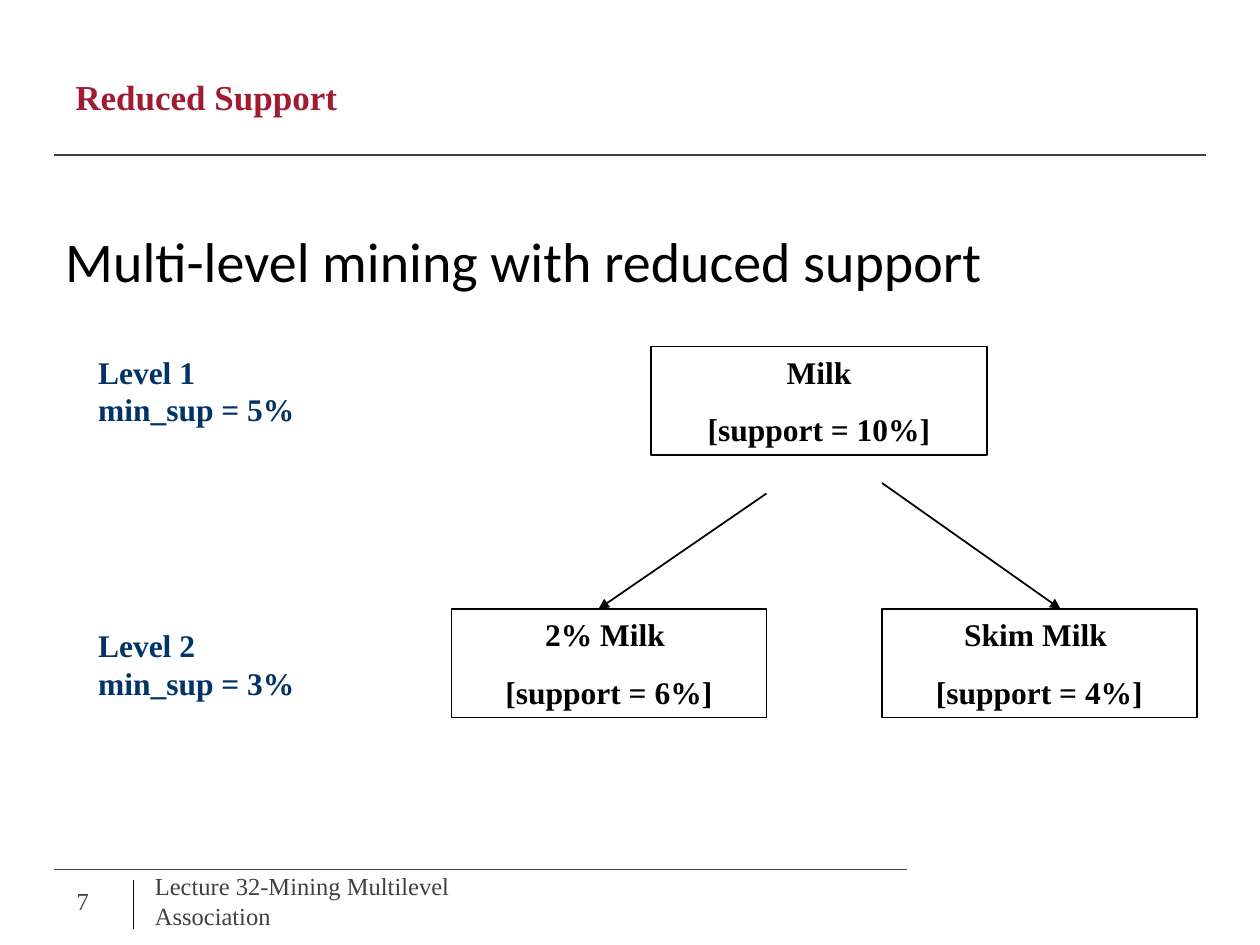
from lxml import etree
from pptx import Presentation
from pptx.dml.color import RGBColor
from pptx.enum.shapes import MSO_CONNECTOR, MSO_SHAPE
from pptx.enum.text import MSO_ANCHOR, PP_ALIGN
from pptx.oxml.ns import qn
from pptx.util import Pt

STRAIGHT, RECTANGLE = MSO_CONNECTOR.STRAIGHT, MSO_SHAPE.RECTANGLE
TOP, MIDDLE = MSO_ANCHOR.TOP, MSO_ANCHOR.MIDDLE
LEFT, CENTER = PP_ALIGN.LEFT, PP_ALIGN.CENTER
SERIF, SANS = "Times New Roman", "Calibri"
BLACK, WHITE, GREY, NEAR_BLACK = "000000", "FFFFFF", "404040", "0D0D0D"
RED, NAVY = "9F1C33", "003366"

TITLE = "Reduced Support"
HEADING = "Multi-level mining with reduced support"
PAGE = "7"
LECTURE = "Lecture 32-Mining Multilevel Association"
LEVELS = [
    (198, ["Level 1", "min_sup = 5%"]),
    (354.2, ["Level 2", "min_sup = 3%"]),
]
ITEMS = [
    (372, 198, 192, ["Milk", "[support = 10%]"]),
    (258, 348, 180, ["2% Milk ", "[support = 6%]"]),
    (504, 348, 180, ["Skim Milk ", "[support = 4%]"]),
]
RULES = [
    (31, 88.5, 689, 88.5, GREY),
    (31, 496.8, 518.4, 496.8, GREY),
    (76.5, 502.6, 76.5, 530.6, NEAR_BLACK),
]
ARROWS = [(438, 282, 342, 348), (504, 276, 606, 348)]
ITEM_HEIGHT = 62

prs = Presentation()
prs.slide_width, prs.slide_height = Pt(720), Pt(540)
slide = prs.slides.add_slide(prs.slide_layouts[6])


def color(hex_code):
    return RGBColor.from_string(hex_code)


def write(shape, lines, size, hex_code, font=SERIF, bold=False, align=LEFT,
          anchor=TOP, wrap=True, before=0):
    frame = shape.text_frame
    frame.word_wrap = wrap
    frame.vertical_anchor = anchor
    for i, line in enumerate(lines):
        paragraph = frame.add_paragraph() if i else frame.paragraphs[0]
        paragraph.alignment = align
        paragraph.space_before = Pt(before)
        run = paragraph.add_run()
        run.text = line
        run.font.name, run.font.size, run.font.bold = font, Pt(size), bold
        run.font.color.rgb = color(hex_code)


def add_label(x, y, width, height, lines, size, hex_code, **style):
    label = slide.shapes.add_textbox(Pt(x), Pt(y), Pt(width), Pt(height))
    write(label, lines, size, hex_code, **style)


def add_item(x, y, width, lines):
    item = slide.shapes.add_shape(RECTANGLE, Pt(x), Pt(y), Pt(width), Pt(ITEM_HEIGHT))
    item.shadow.inherit = False
    item.fill.solid()
    item.fill.fore_color.rgb = color(WHITE)
    item.line.color.rgb = color(BLACK)
    item.line.width = Pt(0.75)
    write(item, lines, 18, BLACK, bold=True, align=CENTER, before=11.2)


def add_line(x1, y1, x2, y2, hex_code, width=0.75, arrow=False):
    line = slide.shapes.add_connector(STRAIGHT, Pt(x1), Pt(y1), Pt(x2), Pt(y2))
    line.line.color.rgb = color(hex_code)
    line.line.width = Pt(width)
    if arrow:
        etree.SubElement(line.line._get_or_add_ln(), qn("a:tailEnd"), type="triangle")
    etree.SubElement(line._element.spPr, qn("a:effectLst"))


for rule in RULES:
    add_line(*rule)
add_label(36, 21.6, 648, 67, [TITLE], 20, RED, bold=True, anchor=MIDDLE)
add_label(30.2, 126, 660, 78, [HEADING], 32, BLACK, font=SANS, before=8)
for item in ITEMS:
    add_item(*item)
for arrow in ARROWS:
    add_line(*arrow, BLACK, width=1, arrow=True)
for y, lines in LEVELS:
    add_label(49, y, 126.7, 50.4, lines, 18, NAVY, bold=True, wrap=False)
add_label(36.7, 500.4, 37.4, 28.8, [PAGE], 14, GREY, anchor=MIDDLE)
add_label(81.4, 500.4, 228.2, 28.8, [LECTURE], 14, GREY, anchor=MIDDLE)

prs.save("out.pptx")
